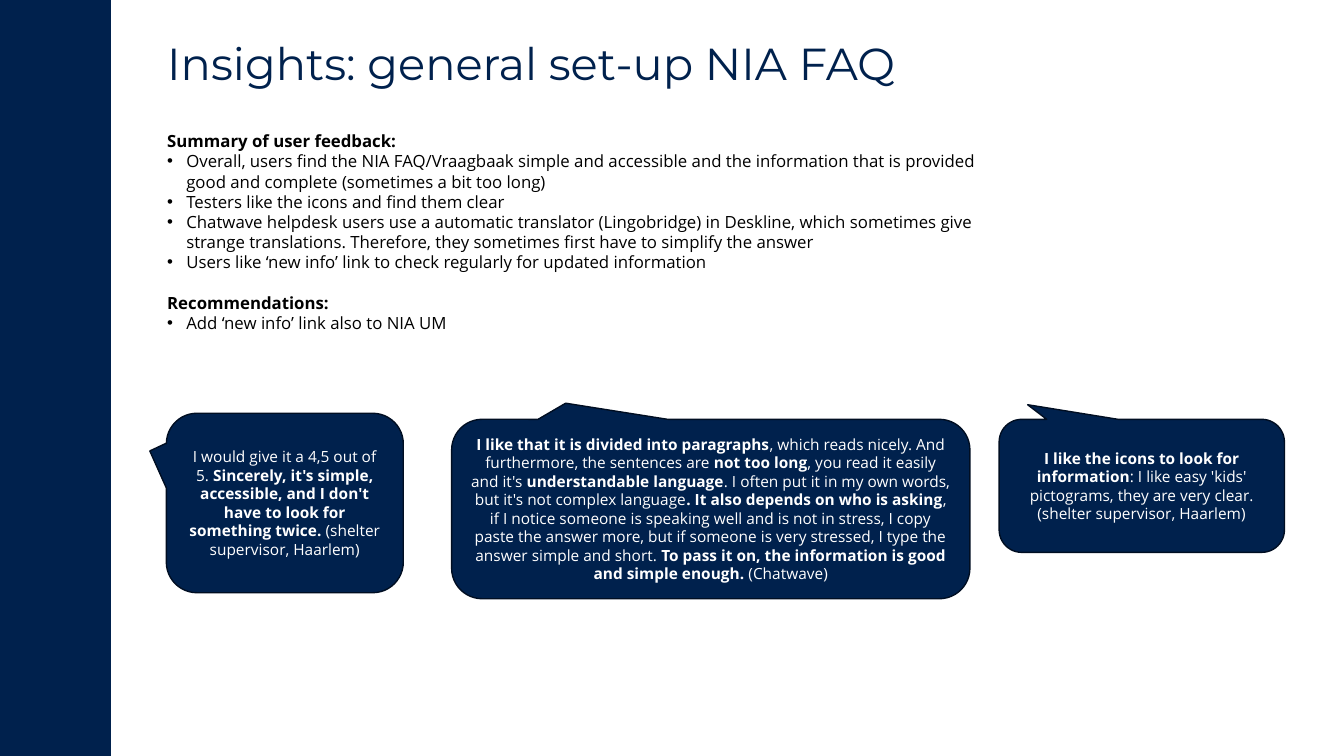
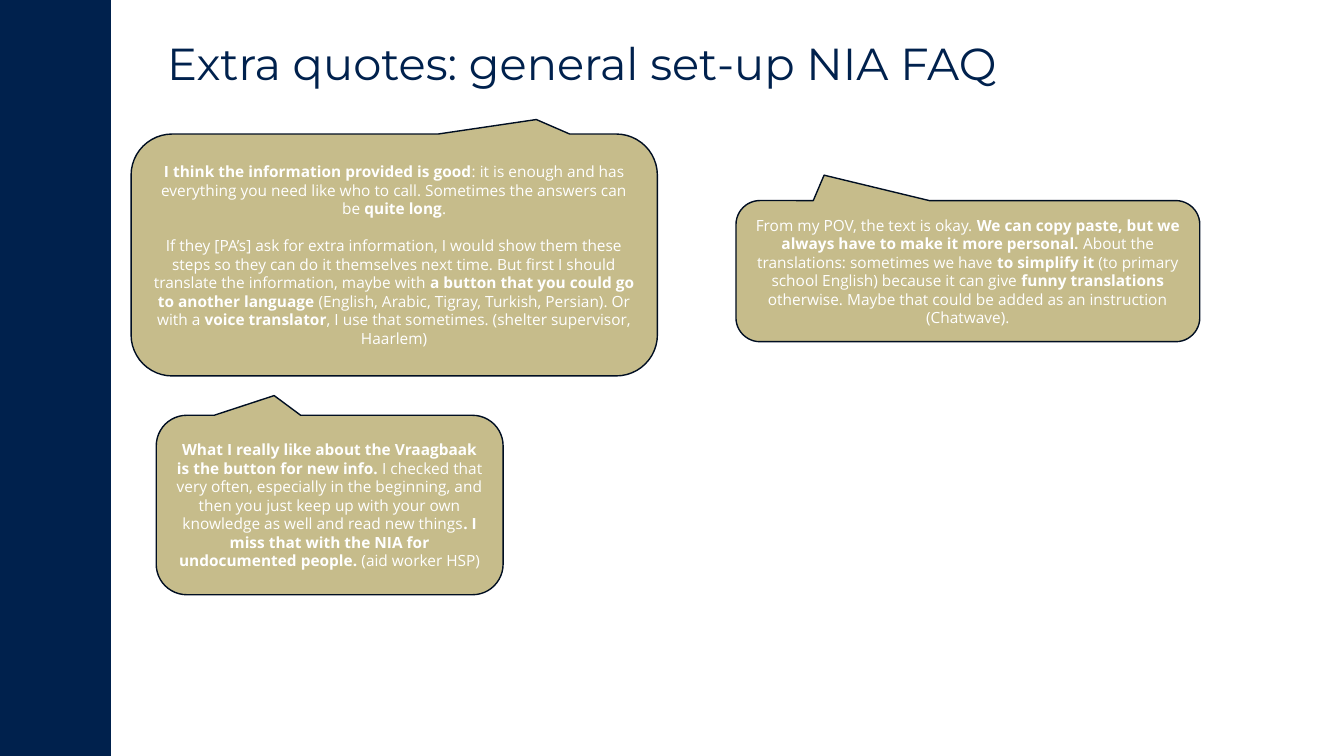
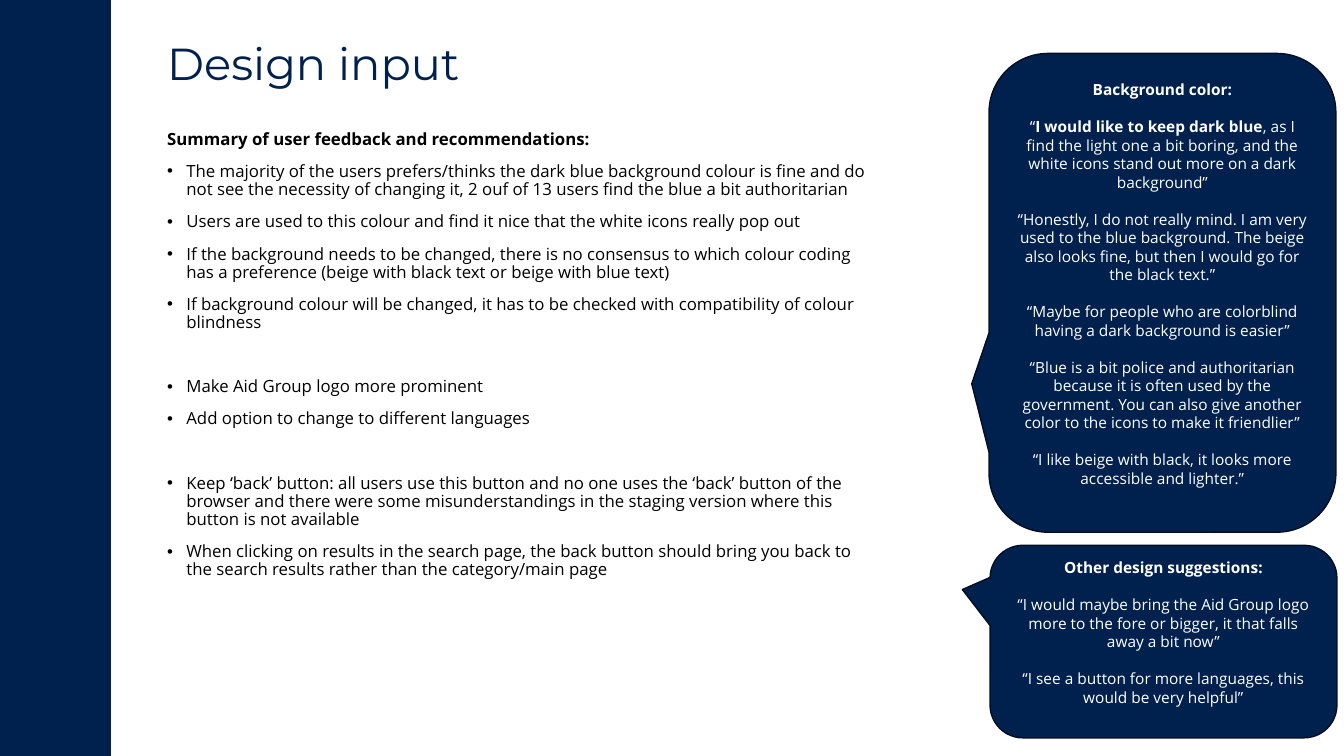
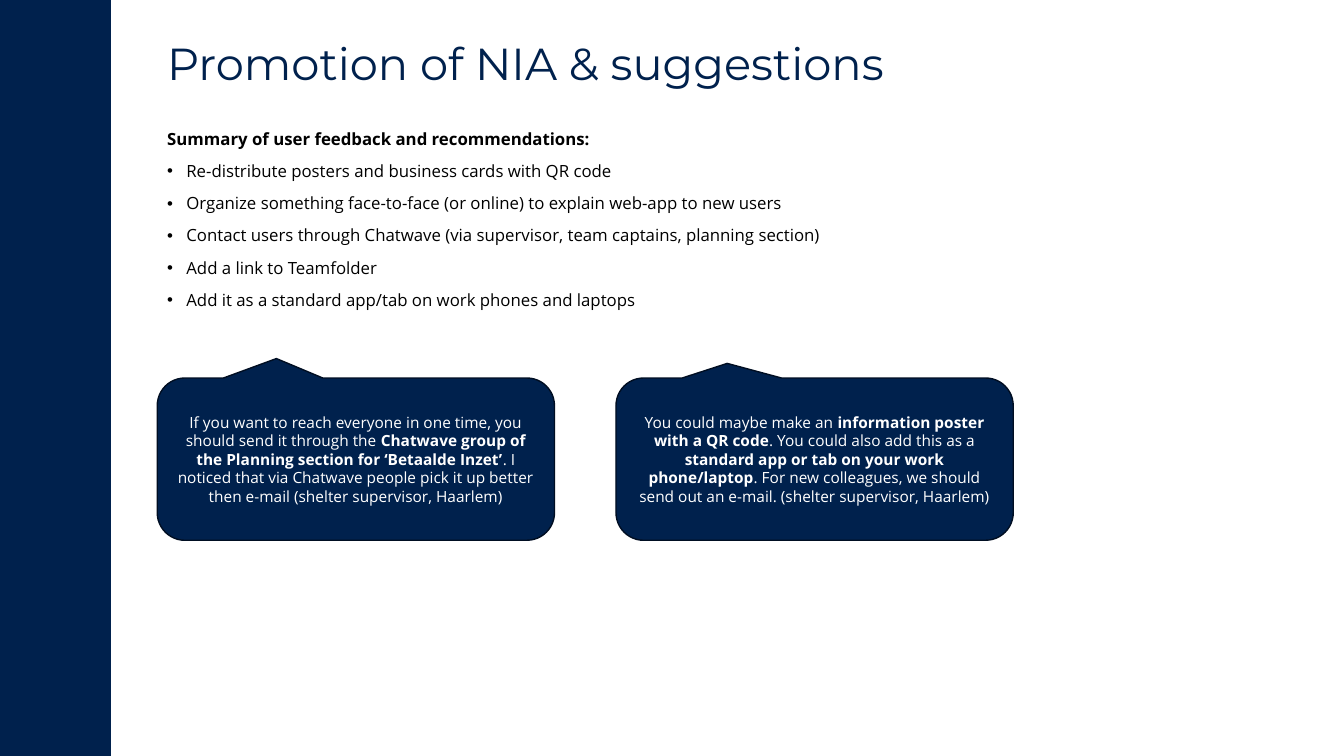
from dataclasses import dataclass

from lxml import etree
from pptx import Presentation
from pptx import util as u
from pptx.dml.color import RGBColor
from pptx.enum import shapes, text
from pptx.oxml import ns

COLOURS = {
    "navy": "00214D",
    "edge": "000E22",
    "beige": "C6BC8B",
    "white": "FFFFFF",
    "black": "000000",
}
HEAD_FONT = "Montserrat"
BODY_FONT = "Open Sans"
LEFT = 1.56
INDENT = 0.19
QUOTE_SIZE = 11
QUOTE_GAP = 13.2


@dataclass
class Line:
    words: str
    bullet: bool = True
    gap: float = 10


@dataclass
class Body:
    lines: list[Line]
    width: float = 7.25
    pitch: float = 0.9


@dataclass
class Bubble:
    left: float
    top: float
    width: float
    height: float
    tip: tuple[float, float]
    quotes: list[str]
    fill: str = "navy"
    foot: float = 0.05


@dataclass
class Page:
    title: str
    bubbles: list[Bubble]
    body: Body | None = None


SUMMARY = Line("*Summary of user feedback and recommendations:*", False, 0)

PAGES = [
    Page(
        "Insights: general set-up NIA FAQ",
        [
            Bubble(9.91, 4.16, 2.83, 1.32, (-0.4, -0.61), [
                "*I like the icons to look for information*: I like easy 'kids' pictograms, "
                "they are very clear. (shelter supervisor, Haarlem)",
            ]),
            Bubble(1.65, 4.1, 2.35, 1.78, (-0.57, -0.29), [
                "I would give it a 4,5 out of 5. *Sincerely, it's simple, accessible, and "
                "I don't have to look for something twice. *(shelter supervisor, Haarlem)",
            ]),
            Bubble(4.48, 4.16, 5.14, 1.78, (-0.28, -0.59), [
                "*I like that it is divided into paragraphs*, which reads nicely. And "
                "furthermore, the sentences are *not too long*, you read it easily and it's "
                "*understandable language*. I often put it in my own words, but it's not "
                "complex language*. It also depends on who is asking*, if I notice someone "
                "is speaking well and is not in stress, I copy paste the answer more, but "
                "if someone is very stressed, I type the answer simple and short. "
                "*To pass it on, the information is good and simple enough. *(Chatwave)",
            ]),
        ],
        Body([
            Line("*Summary of user feedback:*", False, 0),
            Line("Overall, users find the NIA FAQ/Vraagbaak simple and accessible and the "
                 "information that is provided good and complete (sometimes a bit too long)",
                 gap=0),
            Line("Testers like the icons and find them clear", gap=0),
            Line("Chatwave helpdesk users use a automatic translator (Lingobridge) in "
                 "Deskline, which sometimes give strange translations. Therefore, they "
                 "sometimes first have to simplify the answer", gap=0),
            Line("Users like ‘new info’ link to check regularly for updated information",
                 gap=0),
            Line("*Recommendations:*", False, 14.4),
            Line("Add ‘new info’ link also to NIA UM", gap=0),
        ], 8.5, 1),
    ),
    Page(
        "Extra quotes: general set-up NIA FAQ",
        [
            Bubble(1.3, 1.33, 5.22, 2.4, (0.27, -0.56), [
                "*I think the information provided is good*: it is enough and has "
                "everything you need like who to call. Sometimes the answers can be "
                "*quite long*.",
                "If they [PA’s] ask for extra information, I would show them these steps so "
                "they can do it themselves next time. But first I should translate the "
                "information, maybe with *a button that you could go to another language "
                "*(English, Arabic, Tigray, Turkish, Persian). Or with a *voice "
                "translator*, I use that sometimes. (shelter supervisor, Haarlem)",
            ], "beige"),
            Bubble(1.55, 4.12, 3.44, 1.78, (-0.16, -0.61), [
                "*What I really like about the Vraagbaak is the button for new info. *I "
                "checked that very often, especially in the beginning, and then you just "
                "keep up with your own knowledge as well and read new things*. I miss that "
                "with the NIA for undocumented people. *(aid worker HSP)",
            ], "beige"),
            Bubble(7.3, 1.99, 4.6, 1.4, (-0.31, -0.68), [
                "From my POV, the text is okay. *We can copy paste, but we always have to "
                "make it more personal.* About the translations: sometimes we have *to "
                "simplify it *(to primary school English) because it can give *funny "
                "translations *otherwise. Maybe that could be added as an instruction "
                "(Chatwave).",
            ], "beige"),
        ],
    ),
    Page(
        "Design input",
        [
            Bubble(9.81, 0.53, 3.44, 4.75, (-0.55, 0.19), [
                "*Background color:*",
                "“*I would like to keep dark blue*, as I find the light one a bit boring, "
                "and the white icons stand out more on a dark background”",
                "“Honestly, I do not really mind. I am very used to the blue background. "
                "The beige also looks fine, but then I would go for the black text.”",
                "“Maybe for people who are colorblind having a dark background is easier”",
                "“Blue is a bit police and authoritarian because it is often used by the "
                "government. You can also give another color to the icons to make it "
                "friendlier”",
                "“I like beige with black, it looks more accessible and lighter.”",
            ], foot=0.23),
            Bubble(9.82, 5.41, 3.44, 1.91, (-0.58, -0.27), [
                "*Other design suggestions:*",
                "“I would maybe bring the Aid Group logo more to the fore or bigger, it "
                "that falls away a bit now”",
                "“I see a button for more languages, this would be very helpful”",
            ], foot=0.23),
        ],
        Body([
            SUMMARY,
            Line("The majority of the users prefers/thinks the dark blue background colour "
                 "is fine and do not see the necessity of changing it, 2 ouf of 13 users "
                 "find the blue a bit authoritarian"),
            Line("Users are used to this colour and find it nice that the white icons "
                 "really pop out"),
            Line("If the background needs to be changed, there is no consensus to which "
                 "colour coding has a preference (beige with black text or beige with blue "
                 "text)"),
            Line("If background colour will be changed, it has to be checked with "
                 "compatibility of colour blindness"),
            Line("Make Aid Group logo more prominent", gap=33),
            Line("Add option to change to different languages"),
            Line("Keep ‘back’ button: all users use this button and no one uses the ‘back’ "
                 "button of the browser and there were some misunderstandings in the "
                 "staging version where this button is not available", gap=33),
            Line("When clicking on results in the search page, the back button should bring "
                 "you back to the search results rather than the category/main page"),
        ]),
    ),
    Page(
        "Promotion of NIA & suggestions",
        [
            Bubble(6.11, 3.75, 3.94, 1.61, (-0.22, -0.59), [
                "You could maybe make an *information poster with a QR code*. You could "
                "also add this as a *standard app or tab on your work phone/laptop*. For "
                "new colleagues, we should send out an e-mail. (shelter supervisor, "
                "Haarlem)",
            ]),
            Bubble(LEFT, 3.75, 3.94, 1.61, (-0.2, -0.62), [
                "If you want to reach everyone in one time, you should send it through the "
                "*Chatwave group of the Planning section for ‘Betaalde Inzet’*. I noticed "
                "that via Chatwave people pick it up better then e-mail (shelter "
                "supervisor, Haarlem)",
            ]),
        ],
        Body([
            SUMMARY,
            Line("Re-distribute posters and business cards with QR code"),
            Line("Organize something face-to-face (or online) to explain web-app to new "
                 "users"),
            Line("Contact users through Chatwave (via supervisor, team captains, planning "
                 "section)"),
            Line("Add a link to Teamfolder"),
            Line("Add it as a standard app/tab on work phones and laptops"),
        ]),
    ),
]


def paint(target, name: str) -> None:
    target.solid()
    target.fore_color.rgb = RGBColor.from_string(COLOURS[name])


def style(font, face: str, size: float, tint: str, bold: bool = False) -> None:
    font.name = face
    font.size = u.Pt(size)
    font.bold = bold
    font.color.rgb = RGBColor.from_string(COLOURS[tint])


def write(para, words: str, size: float, tint: str) -> None:
    for place, part in enumerate(words.split("*")):
        if part:
            run = para.add_run()
            run.text = part
            style(run.font, BODY_FONT, size, tint, place % 2 == 1)


def grow(frame, count: int) -> list:
    return [frame.paragraphs[0]] + [frame.add_paragraph() for _ in range(count - 1)]


def mark(para) -> None:
    props = para._p.get_or_add_pPr()
    props.set("marL", str(u.Inches(INDENT)))
    props.set("indent", str(-u.Inches(INDENT)))
    etree.SubElement(props, ns.qn("a:buFont")).set("typeface", "Arial")
    etree.SubElement(props, ns.qn("a:buChar")).set("char", "•")


def add_box(slide, top: float, width: float, height: float):
    box = slide.shapes.add_textbox(
        u.Inches(LEFT), u.Inches(top), u.Inches(width), u.Inches(height))
    box.text_frame.word_wrap = True
    return box.text_frame


def add_band(slide) -> None:
    band = slide.shapes.add_shape(
        shapes.MSO_SHAPE.RECTANGLE, 0, 0, u.Inches(1.1), u.Inches(7.5))
    band.shadow.inherit = False
    paint(band.fill, "navy")
    band.line.fill.background()


def add_title(slide, title: str) -> None:
    frame = add_box(slide, 0.53, 11.18, 0.41)
    frame.vertical_anchor = text.MSO_ANCHOR.BOTTOM
    frame.text = title
    para = frame.paragraphs[0]
    para.line_spacing = 0.9
    style(para.runs[0].font, HEAD_FONT, 32, "navy")


def add_body(slide, body: Body) -> None:
    frame = add_box(slide, 1.25, body.width, 4.75)
    for para, line in zip(grow(frame, len(body.lines)), body.lines):
        para.line_spacing = body.pitch
        para.space_before = u.Pt(line.gap)
        if line.bullet:
            mark(para)
        write(para, line.words, 12, "black")


def add_bubble(slide, bubble: Bubble) -> None:
    shape = slide.shapes.add_shape(
        shapes.MSO_SHAPE.ROUNDED_RECTANGULAR_CALLOUT,
        u.Inches(bubble.left), u.Inches(bubble.top),
        u.Inches(bubble.width), u.Inches(bubble.height))
    shape.shadow.inherit = False
    for place, value in enumerate((*bubble.tip, 0.17)):
        shape.adjustments[place] = value
    paint(shape.fill, bubble.fill)
    paint(shape.line.fill, "edge")
    shape.line.width = u.Pt(1)
    frame = shape.text_frame
    frame.word_wrap = True
    frame.vertical_anchor = text.MSO_ANCHOR.MIDDLE
    frame.margin_bottom = u.Inches(bubble.foot)
    for place, para in enumerate(grow(frame, len(bubble.quotes))):
        para.alignment = text.PP_ALIGN.CENTER
        para.space_before = u.Pt(QUOTE_GAP if place else 0)
        write(para, bubble.quotes[place], QUOTE_SIZE, "white")


def main() -> None:
    deck = Presentation()
    deck.slide_width = u.Inches(13.33)
    deck.slide_height = u.Inches(7.5)
    for page in PAGES:
        slide = deck.slides.add_slide(deck.slide_layouts[6])
        add_band(slide)
        add_title(slide, page.title)
        if page.body:
            add_body(slide, page.body)
        for bubble in page.bubbles:
            add_bubble(slide, bubble)
    deck.save("out.pptx")


if __name__ == "__main__":
    main()
